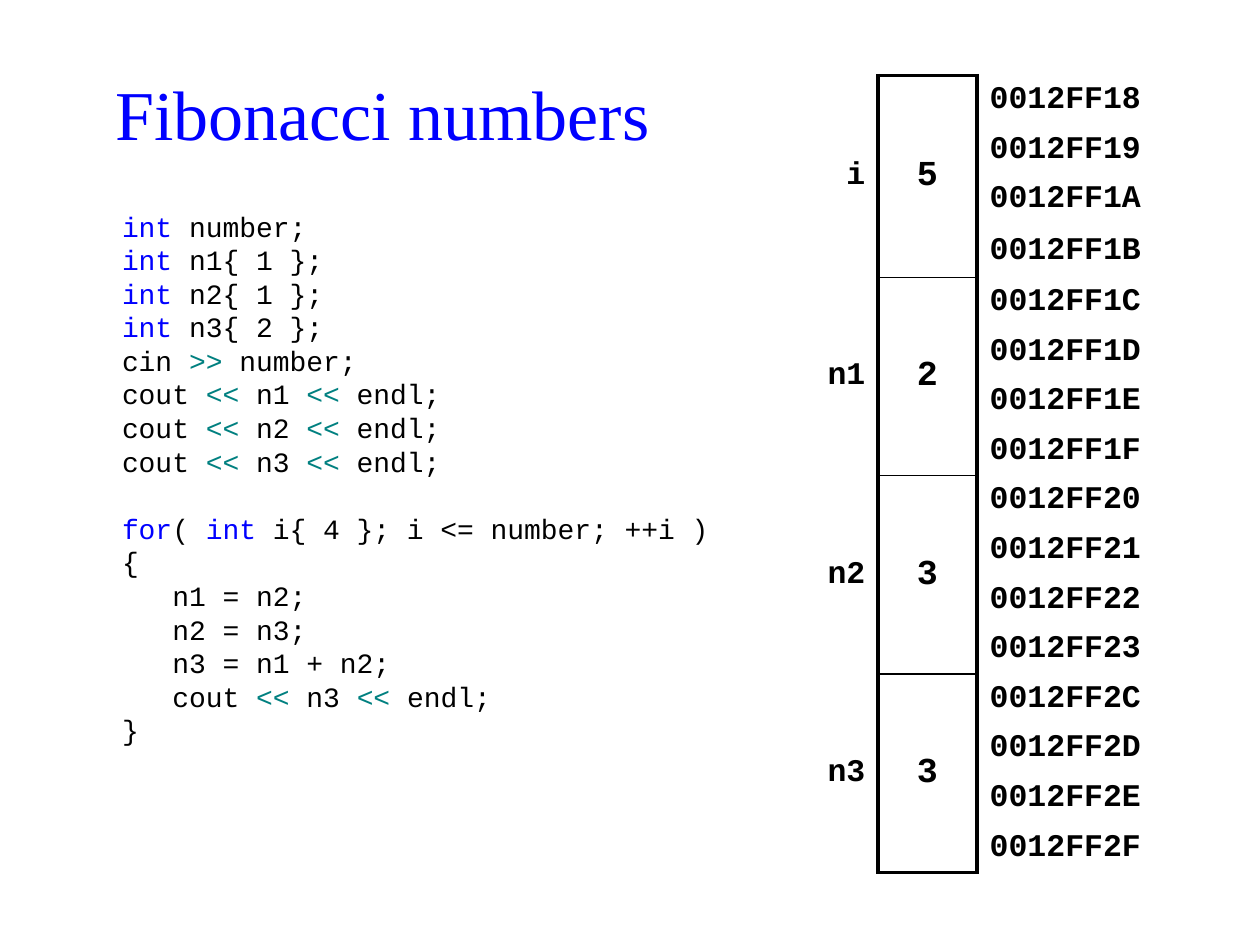
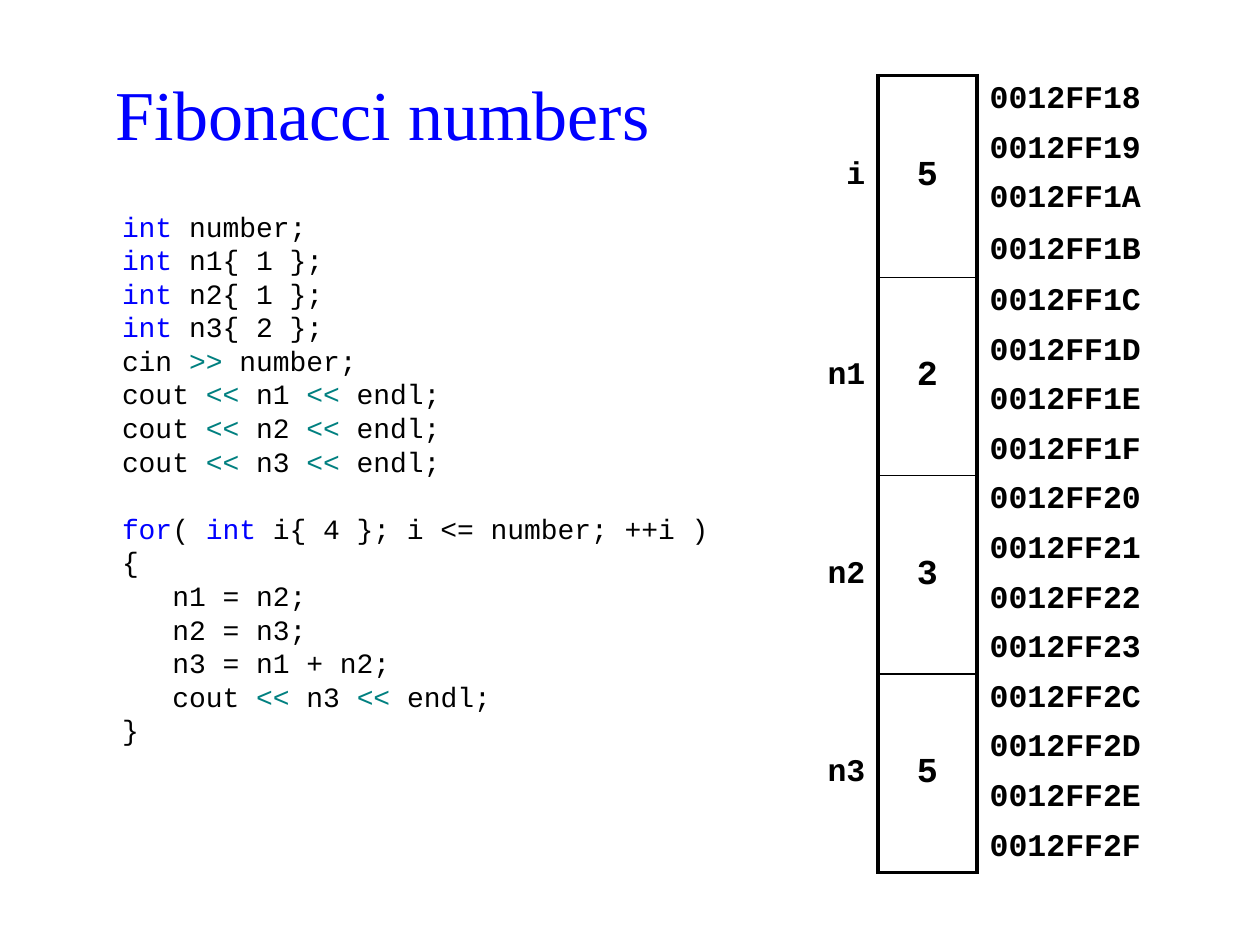
from dataclasses import dataclass
from lxml.etree import SubElement
from pptx import Presentation
from pptx.dml.color import RGBColor
from pptx.enum.text import MSO_ANCHOR, PP_ALIGN
from pptx.oxml.ns import qn
from pptx.util import Inches, Pt


@dataclass(frozen=True)
class Theme:
    ink: str = "000000"
    blue: str = "0000FF"
    teal: str = "008080"
    title_font: str = "Times New Roman"
    code_font: str = "Courier New"
    title_size: int = 40
    code_size: int = 16
    code_pitch: float = 19.2
    address_size: int = 18
    value_size: int = 20
    frame_width: float = 2.25
    divider_width: float = 1
    plain_table: str = "{2D5ABB26-0587-4C30-8999-92F81FD0307C}"


THEME = Theme()
SYNTAX = {"int": THEME.blue, "for": THEME.blue, "<<": THEME.teal, ">>": THEME.teal}
TITLE_BOX = (0.67, 0.4, 4.73, 0.98)
CODE_BOX = (0.87, 1.58, 4.92, 4.53)
MEMORY_BOX = (6.18, 0.6, 3.15, 6.3)

CODE_BLOCKS = [
    [
        "|int| number;",
        "|int| n1{ 1 };",
        "|int| n2{ 1 };",
        "|int| n3{ 2 };",
        "cin |>>| number;",
        "cout |<<| n1 |<<| endl;",
        "cout |<<| n2 |<<| endl;",
        "cout |<<| n3 |<<| endl;",
    ],
    [
        "|for|( |int| i{ 4 }; i <= number; ++i )",
        "{",
        "\tn1 = n2;",
        "\tn2 = n3;",
        "\tn3 = n1 + n2;",
        "\tcout |<<| n3 |<<| endl;",
        "}",
    ],
]
BYTES_PER_INT = 4
VARIABLES = {"i": 0x0012FF18, "n1": 0x0012FF1C, "n2": 0x0012FF20, "n3": 0x0012FF2C}
MEMORY_STATES = [(5, 2, 3, 3), (5, 2, 3, 5)]


def apply_format(target, values):
    for name, value in values.items():
        setattr(target, name, value)


def add_run(paragraph, text, font, size, color=THEME.ink, bold=False):
    run = paragraph.add_run()
    run.text = text
    apply_format(run.font, {"name": font, "size": Pt(size), "bold": bold})
    run.font.color.rgb = RGBColor.from_string(color)


def add_text_frame(slide, box, **values):
    frame = slide.shapes.add_textbox(*map(Inches, box)).text_frame
    apply_format(frame, {"word_wrap": True, **values})
    return frame


def add_title(slide, box, text):
    frame = add_text_frame(slide, box, vertical_anchor=MSO_ANCHOR.MIDDLE)
    paragraph = frame.paragraphs[0]
    paragraph.alignment = PP_ALIGN.CENTER
    add_run(paragraph, text, THEME.title_font, THEME.title_size, THEME.blue)


def add_code(slide, box, blocks):
    frame = add_text_frame(slide, box, margin_top=Inches(0.08))
    paragraph = frame.paragraphs[0]
    for block_index, block in enumerate(blocks):
        for line_index, line in enumerate(block):
            if block_index or line_index:
                paragraph = frame.add_paragraph()
            starts_new_block = block_index and not line_index
            apply_format(paragraph, {
                "line_spacing": Pt(THEME.code_pitch),
                "space_before": Pt(THEME.code_pitch if starts_new_block else 0),
            })
            if line.startswith("\t"):
                paragraph._p.get_or_add_pPr().set("marL", str(Inches(0.4)))
            for piece in filter(None, line.lstrip("\t").split("|")):
                add_run(paragraph, piece, THEME.code_font, THEME.code_size,
                        SYNTAX.get(piece, THEME.ink))


def set_borders(cell, **widths):
    properties = cell._tc.get_or_add_tcPr()
    for side, width in widths.items():
        line = SubElement(properties, qn(f"a:ln{side}"), w=str(Pt(width)))
        fill = SubElement(line, qn("a:solidFill"))
        SubElement(fill, qn("a:srgbClr"), val=THEME.ink)


def fill_cell(cell, text, size, alignment):
    paragraph = cell.text_frame.paragraphs[0]
    paragraph.alignment = alignment
    add_run(paragraph, text, THEME.code_font, size, bold=True)


def add_memory_table(slide, box, values):
    left, top, width, height = box
    row_count = BYTES_PER_INT * len(VARIABLES)
    table = slide.shapes.add_table(row_count, 3, *map(Inches, box)).table
    apply_format(table, {"first_row": False, "horz_banding": False})
    table._tbl.tblPr.find(qn("a:tableStyleId")).text = THEME.plain_table
    for column, share in zip(table.columns, (0.25, 0.25, 0.5)):
        column.width = Inches(width * share)
    for row in table.rows:
        row.height = Inches(height / row_count)
    table.rows[BYTES_PER_INT - 1].height = Inches(0.42)

    frame, divider = THEME.frame_width, THEME.divider_width
    for index, ((name, start), value) in enumerate(zip(VARIABLES.items(), values)):
        first = index * BYTES_PER_INT
        last = first + BYTES_PER_INT - 1
        label, content = table.cell(first, 0), table.cell(first, 1)
        for column, cell in enumerate((label, content)):
            cell.merge(table.cell(last, column))
        fill_cell(label, name, THEME.address_size, PP_ALIGN.RIGHT)
        fill_cell(content, str(value), THEME.value_size, PP_ALIGN.CENTER)
        set_borders(label, R=frame)
        set_borders(content, L=frame, R=frame,
                    T=divider if index else frame,
                    B=frame if last == row_count - 1 else divider)
        for offset in range(BYTES_PER_INT):
            address = table.cell(first + offset, 2)
            fill_cell(address, f"{start + offset:08X}", THEME.address_size, PP_ALIGN.LEFT)
            set_borders(address, L=frame)

    for cell in table.iter_cells():
        apply_format(cell, {
            "vertical_anchor": MSO_ANCHOR.MIDDLE,
            "margin_top": Inches(0.04),
            "margin_bottom": Inches(0.04),
        })
        cell.fill.background()


def add_fibonacci_slide(presentation, values):
    slide = presentation.slides.add_slide(presentation.slide_layouts[6])
    add_title(slide, TITLE_BOX, "Fibonacci numbers")
    add_code(slide, CODE_BOX, CODE_BLOCKS)
    add_memory_table(slide, MEMORY_BOX, values)


def main():
    presentation = Presentation()
    apply_format(presentation, {"slide_width": Inches(10), "slide_height": Inches(7.5)})
    for values in MEMORY_STATES:
        add_fibonacci_slide(presentation, values)
    presentation.save("out.pptx")


if __name__ == "__main__":
    main()
